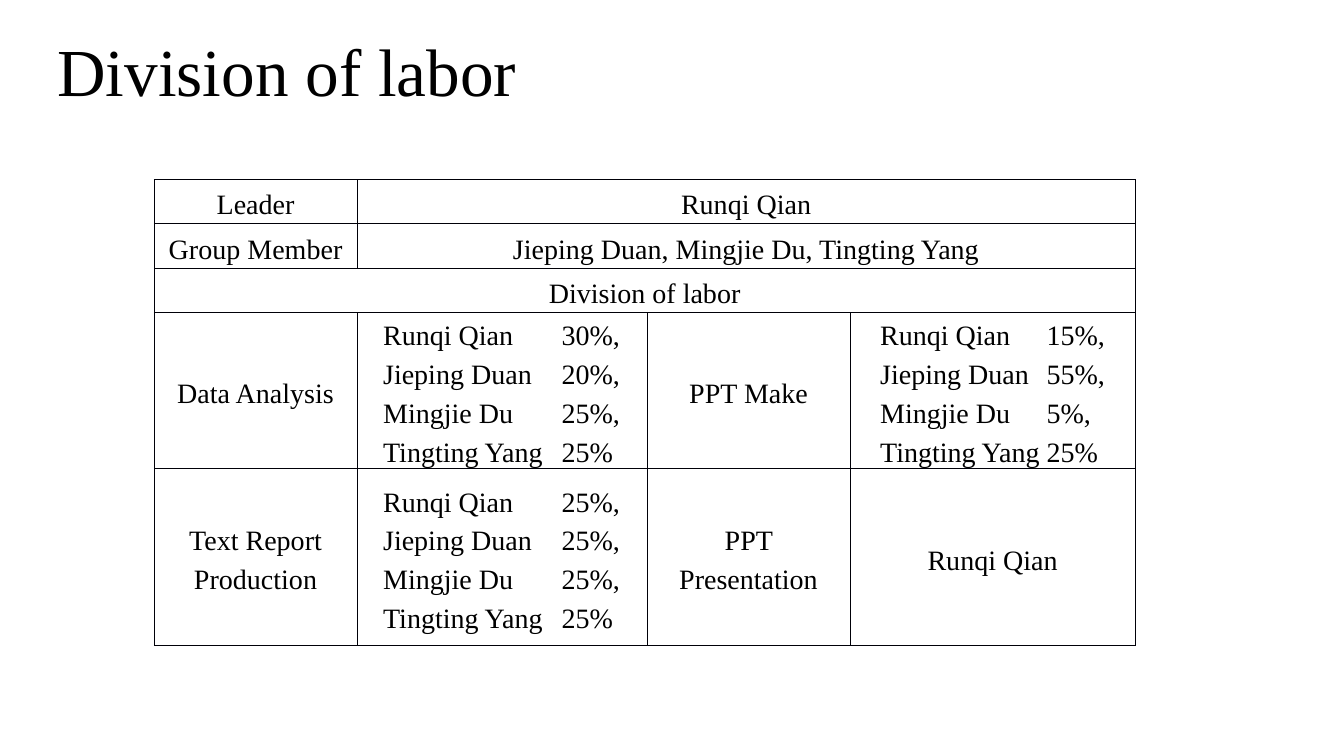
"""Build a slide with a table that shows how a team divides its labor."""
from lxml import etree
from pptx import Presentation
from pptx.dml.color import RGBColor
from pptx.enum.text import MSO_ANCHOR, PP_ALIGN
from pptx.oxml.ns import qn
from pptx.util import Inches, Pt

LEFT, CENTER = PP_ALIGN.LEFT, PP_ALIGN.CENTER
MIDDLE = MSO_ANCHOR.MIDDLE
FONT = "Times New Roman"
COLORS = {"text": "000000", "line": "000008"}
TEAM = ["Runqi Qian", "Jieping Duan", "Mingjie Du", "Tingting Yang"]
COLS = [2.01, 2.88, 2.01, 2.83]
ROWS = [0.44, 0.44, 0.44, 1.55, 1.75]
LABELS = [
    (0, 0, 1, "Leader"),
    (0, 1, 3, TEAM[0]),
    (1, 0, 1, "Group Member"),
    (1, 1, 3, ", ".join(TEAM[1:])),
    (2, 0, 4, "Division of labor"),
    (3, 0, 1, "Data Analysis"),
    (3, 2, 1, "PPT Make"),
    (4, 0, 1, "Text Report Production"),
    (4, 2, 1, "PPT Presentation"),
    (4, 3, 1, TEAM[0]),
]
SHARES = [
    (3, 1, 0.26, 1.77, [30, 20, 25, 25]),
    (3, 3, 0.3, 1.65, [15, 55, 5, 25]),
    (4, 1, 0.26, 1.77, [25, 25, 25, 25]),
]


def style(font, size):
    """Set the face, size and colour of a font."""
    font.name, font.size = FONT, Pt(size)
    font.color.rgb = RGBColor.from_string(COLORS["text"])


def add_title(slide, text):
    """Add the heading of the slide."""
    box = slide.shapes.add_textbox(
        Inches(0.47), Inches(0.24), Inches(6.02), Inches(0.91))
    frame = box.text_frame
    frame.word_wrap = True
    frame.text = text
    style(frame.paragraphs[0].runs[0].font, 48)


def add_grid(slide):
    """Add the empty table with its borders."""
    frame = slide.shapes.add_table(
        len(ROWS), len(COLS), Inches(1.53), Inches(1.78),
        Inches(sum(COLS)), Inches(sum(ROWS)))
    table = frame.table
    table.first_row = table.horz_banding = False
    for col, width in zip(table.columns, COLS):
        col.width = Inches(width)
    for row, height in zip(table.rows, ROWS):
        row.height = Inches(height)
    for cell in table.iter_cells():
        frame_cell(cell)
    return table


def frame_cell(cell):
    """Give a cell thin borders, no fill and its margins."""
    props = cell._tc.get_or_add_tcPr()
    for side in ("a:lnL", "a:lnR", "a:lnT", "a:lnB"):
        line = etree.SubElement(props, qn(side), w=str(Pt(0.5)))
        fill = etree.SubElement(line, qn("a:solidFill"))
        etree.SubElement(fill, qn("a:srgbClr"), val=COLORS["line"])
    cell.fill.background()
    cell.vertical_anchor = MIDDLE
    cell.margin_left = cell.margin_right = Inches(0.07)
    cell.margin_top = cell.margin_bottom = 0


def write(cell, text, align, tab=None):
    """Write the text of a cell, with a tab stop if one is given."""
    cell.text_frame.text = text
    for para in cell.text_frame.paragraphs:
        para.alignment = align
        para.line_spacing = 1.25
        if tab:
            stops = etree.SubElement(para._p.get_or_add_pPr(), qn("a:tabLst"))
            etree.SubElement(
                stops, qn("a:tab"), pos=str(Inches(tab)), algn="l")
        for run in para.runs:
            style(run.font, 20)


def fill_grid(table):
    """Write the labels and the share of each member."""
    for row, col, span, text in LABELS:
        cell = table.cell(row, col)
        if span > 1:
            cell.merge(table.cell(row, col + span - 1))
        write(cell, text, CENTER)
    for row, col, inset, tab, parts in SHARES:
        cell = table.cell(row, col)
        cell.margin_left = Inches(inset)
        lines = [f"{name}\t{part}%" for name, part in zip(TEAM, parts)]
        write(cell, ",\n".join(lines), LEFT, tab)


def main():
    """Build and save the slide."""
    deck = Presentation()
    deck.slide_width, deck.slide_height = Inches(13.33), Inches(7.5)
    slide = deck.slides.add_slide(deck.slide_layouts[6])
    fill_grid(add_grid(slide))
    add_title(slide, "Division of labor")
    deck.save("out.pptx")


if __name__ == "__main__":
    main()
